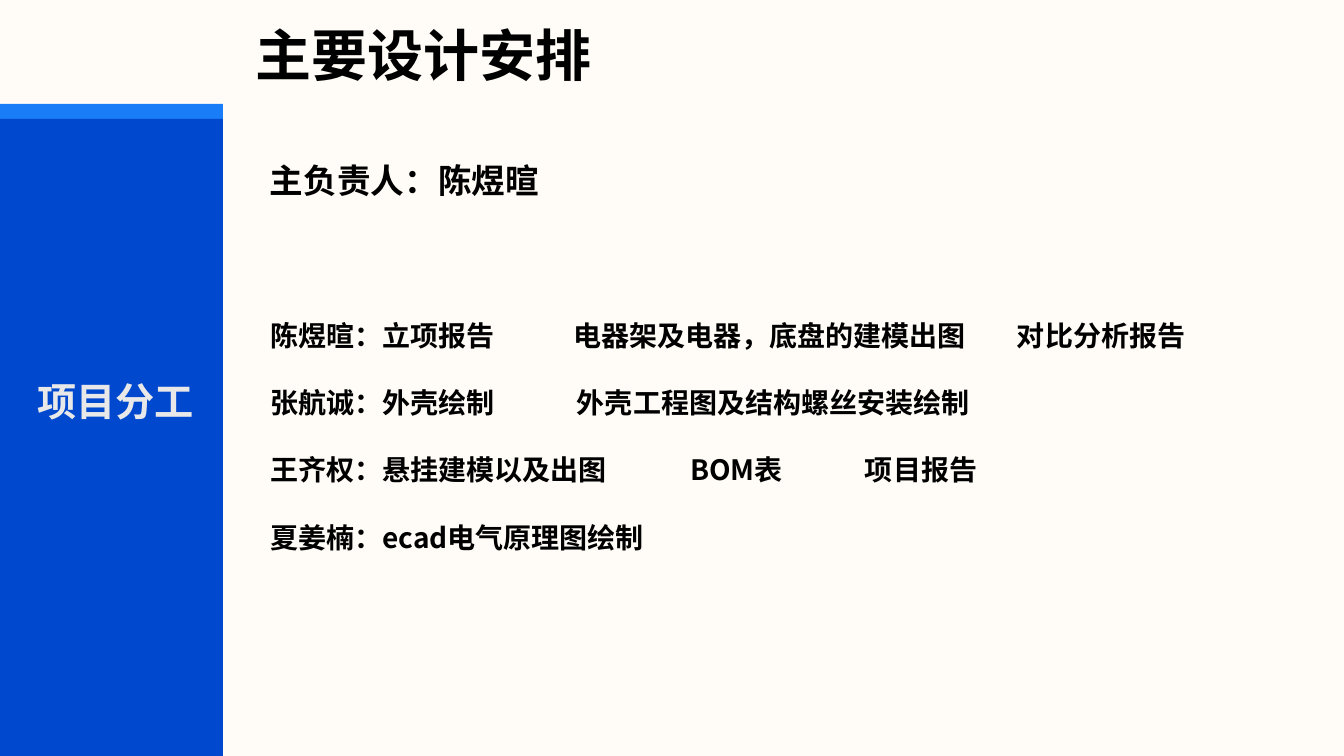
from dataclasses import dataclass

from lxml import etree
from pptx import Presentation, util as u
from pptx.dml.color import RGBColor
from pptx.enum import shapes, text
from pptx.oxml import ns
from pptx.slide import Slide

CREAM = RGBColor(0xFF, 0xFC, 0xF7)
BRIGHT_BLUE = RGBColor(0x19, 0x7D, 0xF7)
DEEP_BLUE = RGBColor(0x00, 0x48, 0xCE)
BLACK = RGBColor(0x00, 0x00, 0x00)
PALE_GREY = RGBColor(0xE8, 0xE8, 0xE8)

LATIN = "Arial"
CJK = "Noto Sans CJK SC"
SLIDE_WIDTH = u.Inches(13.33)
SLIDE_HEIGHT = u.Inches(7.5)
SIDEBAR_COLUMNS = 16.58
LINE_RATIO = 1.2


def columns(count: float) -> u.Emu:
    return u.Emu(round(SLIDE_WIDTH * count / 100))


def rows(count: float) -> u.Emu:
    return u.Emu(round(SLIDE_HEIGHT * count / 100))


@dataclass(frozen=True)
class Panel:
    top: float
    color: RGBColor


@dataclass(frozen=True)
class Line:
    wording: str
    tab_columns: tuple[float, ...] = ()


@dataclass(frozen=True)
class Block:
    left: float
    top: float
    width: float
    height: float
    lines: tuple[Line, ...]
    size: int
    color: RGBColor = BLACK
    font: str = CJK
    anchor: text.MSO_ANCHOR = text.MSO_ANCHOR.TOP
    wrap: bool = True
    line_share: float | None = None


PANELS = (Panel(13.73, BRIGHT_BLUE), Panel(15.73, DEEP_BLUE))

ASSIGNMENTS = (
    Line("陈煜暄：立项报告\t电器架及电器，底盘的建模出图\t对比分析报告", (22.55, 55.58)),
    Line("张航诚：外壳绘制\t外壳工程图及结构螺丝安装绘制", (22.84,)),
    Line("王齐权：悬挂建模以及出图\tBOM表\t项目报告", (31.25, 44.27)),
    Line("夏姜楠：ecad电气原理图绘制"),
)

BLOCKS = (
    Block(18.3, 2.93, 36.23, 9.47, (Line("主要设计安排"),), 40, font=LATIN,
          anchor=text.MSO_ANCHOR.MIDDLE, line_share=0.9),
    Block(19.35, 20.53, 70.28, 18.8, (Line("主负责人：陈煜暄"),), 24),
    Block(2.03, 49.2, 13.28, 7.6, (Line("项目分工"),), 28, PALE_GREY, wrap=False),
    Block(19.35, 41.47, 72.6, 32.8, ASSIGNMENTS, 20),
)


def draw_panel(slide: Slide, panel: Panel) -> None:
    sidebar = slide.shapes.add_shape(
        shapes.MSO_SHAPE.RECTANGLE, 0, rows(panel.top),
        columns(SIDEBAR_COLUMNS), rows(100 - panel.top))
    sidebar.shadow.inherit = False
    sidebar.fill.solid()
    sidebar.fill.fore_color.rgb = panel.color
    sidebar.line.fill.background()


def draw_block(slide: Slide, block: Block) -> None:
    frame = slide.shapes.add_textbox(
        columns(block.left), rows(block.top),
        columns(block.width), rows(block.height)).text_frame
    frame.word_wrap = block.wrap
    frame.vertical_anchor = block.anchor
    frame.text = "\n".join(line.wording for line in block.lines)
    line_height = u.Pt(block.size * LINE_RATIO)
    for index, (paragraph, line) in enumerate(zip(frame.paragraphs, block.lines)):
        paragraph.line_spacing = block.line_share or line_height
        if index:
            paragraph.space_before = line_height
        if line.tab_columns:
            stops = etree.SubElement(paragraph._p.get_or_add_pPr(), ns.qn("a:tabLst"))
            for stop in line.tab_columns:
                etree.SubElement(stops, ns.qn("a:tab"), pos=str(columns(stop)), algn="l")
        for run in paragraph.runs:
            run.font.size = u.Pt(block.size)
            run.font.bold = True
            run.font.color.rgb = block.color
            run.font.name = block.font
            etree.SubElement(run._r.get_or_add_rPr(), ns.qn("a:ea"), typeface=CJK)


def main() -> None:
    deck = Presentation()
    deck.slide_width = SLIDE_WIDTH
    deck.slide_height = SLIDE_HEIGHT
    slide = deck.slides.add_slide(deck.slide_layouts[6])
    slide.background.fill.solid()
    slide.background.fill.fore_color.rgb = CREAM
    for panel in PANELS:
        draw_panel(slide, panel)
    for block in BLOCKS:
        draw_block(slide, block)
    deck.save("out.pptx")


if __name__ == "__main__":
    main()
